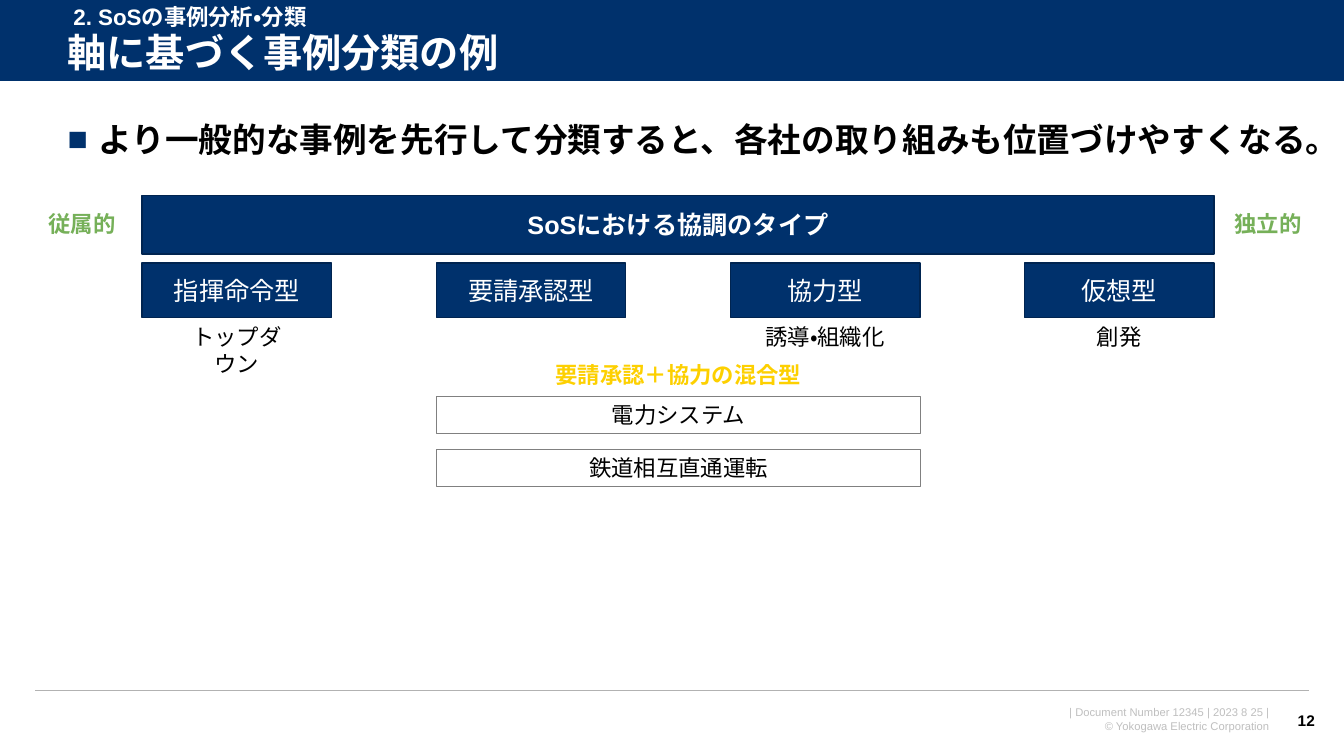
from dataclasses import dataclass

from lxml import etree
from pptx import Presentation
from pptx.dml.color import RGBColor
from pptx.enum.lang import MSO_LANGUAGE_ID
from pptx.enum.shapes import MSO_CONNECTOR, MSO_SHAPE
from pptx.enum.text import MSO_ANCHOR, MSO_AUTO_SIZE, PP_ALIGN
from pptx.oxml.ns import qn
from pptx.shapes.autoshape import Shape
from pptx.slide import Slide
from pptx.util import Inches, Pt

LEFT, CENTER, RIGHT = PP_ALIGN.LEFT, PP_ALIGN.CENTER, PP_ALIGN.RIGHT
TOP, MIDDLE = MSO_ANCHOR.TOP, MSO_ANCHOR.MIDDLE
RECTANGLE = MSO_SHAPE.RECTANGLE
STRAIGHT = MSO_CONNECTOR.STRAIGHT
NO_AUTOFIT = MSO_AUTO_SIZE.NONE
JAPANESE = MSO_LANGUAGE_ID.JAPANESE


@dataclass(frozen=True)
class Theme:
    font: str = "Arial"
    navy: str = "00316C"
    navy_edge: str = "002450"
    white: str = "FFFFFF"
    black: str = "000000"
    green: str = "76B059"
    yellow: str = "FDD000"
    footer_grey: str = "BFBFBF"
    rule_grey: str = "B2B2B2"
    case_edge: str = "808080"
    title_size: int = 28
    message_size: int = 24
    type_size: int = 18
    label_size: int = 16
    number_size: int = 11
    footer_size: int = 8


THEME = Theme()


@dataclass(frozen=True)
class Box:
    left: float
    top: float
    width: float
    height: float


@dataclass(frozen=True)
class TextStyle:
    size: int
    color: str
    bold: bool = False
    align: PP_ALIGN = CENTER
    anchor: MSO_ANCHOR = TOP
    line_spacing: float = 1.0


@dataclass(frozen=True)
class Label:
    text: str
    box: Box
    style: TextStyle


@dataclass(frozen=True)
class CooperationType:
    name: str
    caption: str = ""
    caption_width: float = 1.17


@dataclass(frozen=True)
class Rule:
    start: float
    end: float
    y: float
    color: str
    weight: float


TITLE = TextStyle(THEME.title_size, THEME.white, True, LEFT, MIDDLE, 0.9)
MESSAGE = TextStyle(THEME.message_size, THEME.black, True, LEFT, TOP, 0.9)
SECTION = TextStyle(THEME.label_size, THEME.white, True, LEFT)
AXIS = TextStyle(THEME.type_size, THEME.white, True, anchor=MIDDLE)
TYPE = TextStyle(THEME.type_size, THEME.white, anchor=MIDDLE)
PLAIN = TextStyle(THEME.label_size, THEME.black)
POLE = TextStyle(THEME.label_size, THEME.green, True)
MIXED = TextStyle(THEME.label_size, THEME.yellow, True)
FOOTER = TextStyle(THEME.footer_size, THEME.footer_grey, align=RIGHT)
NUMBER = TextStyle(THEME.number_size, THEME.black, True, RIGHT, MIDDLE)

TYPES = (
    CooperationType("指揮命令型", "トップダウン"),
    CooperationType("要請承認型"),
    CooperationType("協力型", "誘導・組織化", 1.52),
    CooperationType("仮想型", "創発"),
)
CASES = ("電力システム", "鉄道相互直通運転")
LABELS = (
    Label("| Document Number 12345 | 2023 8 25 |\n© Yokogawa Electric Corporation",
          Box(9.48, 6.95, 3.21, 0.37), FOOTER),
    Label("12", Box(12.7, 6.95, 0.44, 0.4), NUMBER),
    Label("従属的", Box(0.33, 2.04, 0.97, 0.37), POLE),
    Label("独立的", Box(12.09, 2.04, 0.97, 0.37), POLE),
    Label("要請承認＋協力の混合型", Box(5.37, 3.53, 2.72, 0.37), MIXED),
    Label("2. SoSの事例分析・分類", Box(0.63, -0.02, 4.03, 0.37), SECTION),
)
RULES = (
    Rule(0, 13.33, 0.81, THEME.white, 0.75),
    Rule(0.35, 12.98, 6.85, THEME.rule_grey, 1),
)
AXIS_BOX = Box(1.41, 1.94, 10.63, 0.58)
TYPE_WIDTH = 1.88
TYPE_PITCH = (AXIS_BOX.width - TYPE_WIDTH) / (len(TYPES) - 1)
CASE_LEFT, CASE_TOP, CASE_PITCH = 4.33, 3.93, 0.53


def apply(target: object, values: dict[str, object]) -> None:
    for name, value in values.items():
        setattr(target, name, value)


def place(box: Box) -> tuple[int, int, int, int]:
    return Inches(box.left), Inches(box.top), Inches(box.width), Inches(box.height)


def write(shape: Shape, text: str, style: TextStyle) -> None:
    frame = shape.text_frame
    frame.text = text
    apply(frame, {"word_wrap": True, "auto_size": NO_AUTOFIT,
                  "vertical_anchor": style.anchor})
    for paragraph in frame.paragraphs:
        apply(paragraph, {"alignment": style.align, "space_before": Pt(0),
                          "line_spacing": style.line_spacing})
        for run in paragraph.runs:
            apply(run.font, {"name": THEME.font, "size": Pt(style.size),
                             "bold": style.bold, "language_id": JAPANESE})
            run.font.color.rgb = RGBColor.from_string(style.color)


def add_label(slide: Slide, label: Label) -> None:
    write(slide.shapes.add_textbox(*place(label.box)), label.text, label.style)


def add_panel(slide: Slide, box: Box, fill: str = "", edge: str = "",
              weight: float = 1) -> Shape:
    panel = slide.shapes.add_shape(RECTANGLE, *place(box))
    panel.shadow.inherit = False
    for paint, color in ((panel.fill, fill), (panel.line.fill, edge)):
        if color:
            paint.solid()
            paint.fore_color.rgb = RGBColor.from_string(color)
        else:
            paint.background()
    if edge:
        panel.line.width = Pt(weight)
    return panel


def add_rule(slide: Slide, rule: Rule) -> None:
    line = slide.shapes.add_connector(STRAIGHT, Inches(rule.start), Inches(rule.y),
                                      Inches(rule.end), Inches(rule.y))
    line.line.color.rgb = RGBColor.from_string(rule.color)
    line.line.width = Pt(rule.weight)
    etree.SubElement(line._element.spPr, qn("a:effectLst"))


def fill_placeholder(placeholder: Shape, label: Label) -> None:
    apply(placeholder, dict(zip(("left", "top", "width", "height"), place(label.box))))
    write(placeholder, label.text, label.style)
    placeholder._element.getparent().append(placeholder._element)


def add_square_bullet(placeholder: Shape) -> None:
    properties = placeholder.text_frame.paragraphs[0]._p.get_or_add_pPr()
    properties.set("marL", str(Inches(0.31)))
    properties.set("indent", str(-Inches(0.31)))
    color = etree.SubElement(properties, qn("a:buClr"))
    etree.SubElement(color, qn("a:srgbClr"), val=THEME.navy)
    etree.SubElement(properties, qn("a:buFont"), typeface=THEME.font)
    etree.SubElement(properties, qn("a:buChar"), char="■")


def add_type(slide: Slide, index: int, kind: CooperationType) -> None:
    left = AXIS_BOX.left + index * TYPE_PITCH
    panel = add_panel(slide, Box(left, 2.61, TYPE_WIDTH, 0.54), THEME.navy, THEME.navy_edge)
    write(panel, kind.name, TYPE)
    if kind.caption:
        caption_left = left + (TYPE_WIDTH - kind.caption_width) / 2
        add_label(slide, Label(kind.caption, Box(caption_left, 3.16, kind.caption_width, 0.37), PLAIN))


def main() -> None:
    deck = Presentation()
    apply(deck, {"slide_width": Inches(13.33), "slide_height": Inches(7.5)})
    slide = deck.slides.add_slide(deck.slide_layouts[1])
    title, message = slide.shapes.title, slide.placeholders[1]

    add_panel(slide, Box(0, 0, 13.33, 0.81), THEME.navy)
    for rule in RULES:
        add_rule(slide, rule)
    fill_placeholder(title, Label("軸に基づく事例分類の例", Box(0.57, 0.26, 12.47, 0.57), TITLE))
    fill_placeholder(message, Label("より一般的な事例を先行して分類すると、各社の取り組みも位置づけやすくなる。",
                                    Box(0.57, 1.17, 12.69, 0.57), MESSAGE))
    add_square_bullet(message)
    write(add_panel(slide, AXIS_BOX, THEME.navy, THEME.navy_edge), "SoSにおける協調のタイプ", AXIS)
    for index, kind in enumerate(TYPES):
        add_type(slide, index, kind)
    for index, case in enumerate(CASES):
        box = Box(CASE_LEFT, CASE_TOP + index * CASE_PITCH, 4.8, 0.37)
        write(add_panel(slide, box, edge=THEME.case_edge, weight=0.75), case, PLAIN)
    for label in LABELS:
        add_label(slide, label)
    deck.save("out.pptx")


if __name__ == "__main__":
    main()
